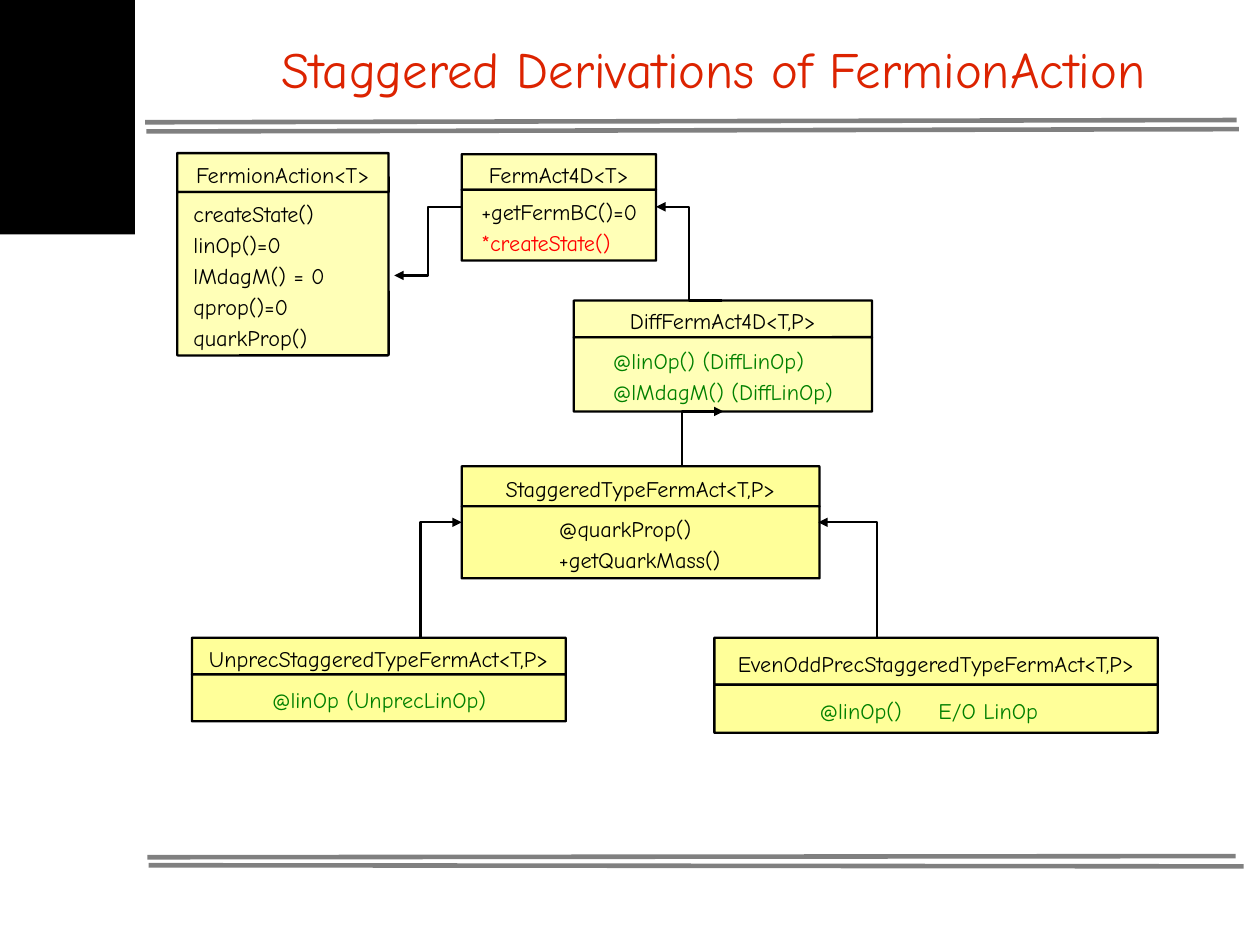
from dataclasses import dataclass

from lxml.etree import SubElement
from pptx import Presentation
from pptx.dml.color import RGBColor
from pptx.enum.shapes import MSO_CONNECTOR as Connector, MSO_SHAPE as Shape
from pptx.enum.text import MSO_ANCHOR as Anchor, PP_ALIGN as Align
from pptx.oxml.ns import qn
from pptx.util import Inches, Pt


@dataclass(frozen=True)
class Theme:
    font: str = "Comic Neue"
    title_size: float = 32
    class_size: float = 14
    line_spacing: float = 1.16
    rule_width: float = 2.89
    outline_width: float = 1.45
    title: str = "DC2300"
    ink: str = "000000"
    override: str = "FF0000"
    derived: str = "008000"
    class_fill: str = "FFFF99"
    rule: str = "808080"


theme = Theme()


def write(frame, lines, size=theme.class_size, color=theme.ink, align=Align.LEFT,
          margins=(0.11, 0.06, 0.11, 0.06)):
    frame.word_wrap = True
    frame.vertical_anchor = Anchor.MIDDLE
    (frame.margin_left, frame.margin_top,
     frame.margin_right, frame.margin_bottom) = map(Inches, margins)
    for index, line in enumerate(lines):
        text, line_color = line if isinstance(line, tuple) else (line, color)
        paragraph = frame.add_paragraph() if index else frame.paragraphs[0]
        paragraph.alignment = align
        paragraph.line_spacing = theme.line_spacing
        run = paragraph.add_run()
        run.text = text
        run.font.name = theme.font
        run.font.size = Pt(size)
        run.font.color.rgb = RGBColor.from_string(line_color)


def connect(kind, ends, color, width):
    link = slide.shapes.add_connector(kind, *map(Inches, ends))
    link.line.color.rgb = RGBColor.from_string(color)
    link.line.width = Pt(width)
    SubElement(link.element.spPr, qn("a:effectLst"))
    return link


deck = Presentation()
deck.slide_width, deck.slide_height = Inches(28 / 2.54), Inches(21 / 2.54)
slide = deck.slides.add_slide(deck.slide_layouts[6])

for rule_ends in [
    (1.27, 1.07, 10.82, 1.05),
    (1.28, 1.15, 10.84, 1.13),
    (1.29, 7.5, 10.81, 7.49),
    (1.3, 7.57, 10.88, 7.58),
]:
    connect(Connector.STRAIGHT, rule_ends, theme.rule, theme.rule_width)

corner = slide.shapes.add_shape(Shape.RECTANGLE, 0, 0, Inches(1.18), Inches(2.05))
corner.shadow.inherit = False
corner.fill.solid()
corner.fill.fore_color.rgb = RGBColor.from_string(theme.ink)
corner.line.fill.background()

heading = slide.shapes.add_textbox(Inches(1.57), Inches(0.11), Inches(9.35), Inches(0.88))
write(heading.text_frame, ["Staggered Derivations of FermionAction"],
      size=theme.title_size, color=theme.title, align=Align.CENTER, margins=(0, 0, 0, 0))

classes = [
    ("FermionAction<T>", 1.55, 1.34, 1.85, 0.34, 1.43, 70, 0.14,
     ["createState()", "linOp()=0", "lMdagM() = 0", "qprop()=0", "quarkProp()"]),
    ("FermAct4D<T>", 4.04, 1.35, 1.7, 0.31, 0.62, 70, 0.17,
     ["+getFermBC()=0", ("*createState()", theme.override)]),
    ("DiffFermAct4D<T,P>", 5.02, 2.63, 2.61, 0.32, 0.65, 70, 0.34,
     [("@linOp() (DiffLinOp)", theme.derived), ("@lMdagM() (DiffLinOp)", theme.derived)]),
    ("UnprecStaggeredTypeFermAct<T,P>", 1.68, 5.58, 3.27, 0.32, 0.41, 100, 0.7,
     [("@linOp (UnprecLinOp)", theme.derived)]),
    ("EvenOddPrecStaggeredTypeFermAct<T,P>", 6.25, 5.58, 3.88, 0.41, 0.42, 100, 0.92,
     [("@linOp()\tE/O LinOp", theme.derived)]),
    ("StaggeredTypeFermAct<T,P>", 4.04, 4.08, 3.13, 0.35, 0.63, 100, 0.85,
     ["@quarkProp()", "+getQuarkMass()"]),
]
method_tab = Inches(1.04)

for name, left, top, width, name_height, body_height, opacity, indent, methods in classes:
    for part_top, height, lines, align, margin in [
        (top, name_height, [name], Align.CENTER, 0.05),
        (top + name_height, body_height, methods, Align.LEFT, indent),
    ]:
        part = slide.shapes.add_shape(Shape.ROUNDED_RECTANGLE, Inches(left), Inches(part_top),
                                      Inches(width), Inches(height))
        part.adjustments[0] = 0.005
        part.shadow.inherit = False
        part.fill.solid()
        part.fill.fore_color.rgb = RGBColor.from_string(theme.class_fill)
        if opacity < 100:
            tint = part.element.spPr.find(qn("a:solidFill"))[0]
            SubElement(tint, qn("a:alpha"), val=str(opacity * 1000))
        part.line.color.rgb = RGBColor.from_string(theme.ink)
        part.line.width = Pt(theme.outline_width)
        write(part.text_frame, lines, align=align, margins=(margin, 0.06, 0.05, 0.06))
        if "\t" in part.text_frame.text:
            for properties in part.element.iter(qn("a:pPr")):
                stops = SubElement(properties, qn("a:tabLst"))
                SubElement(stops, qn("a:tab"), pos=str(method_tab), algn="l")

for derivation_ends in [
    (3.32, 5.58, 4.04, 4.57),
    (8.19, 5.58, 7.16, 4.57),
    (5.6, 4.08, 6.33, 3.6),
    (6.32, 2.63, 5.74, 1.81),
    (4.04, 1.81, 3.45, 2.41),
]:
    derivation = connect(Connector.ELBOW, derivation_ends, theme.ink, theme.outline_width)
    SubElement(derivation.element.spPr.find(qn("a:ln")), qn("a:tailEnd"), type="triangle")

deck.save("out.pptx")
